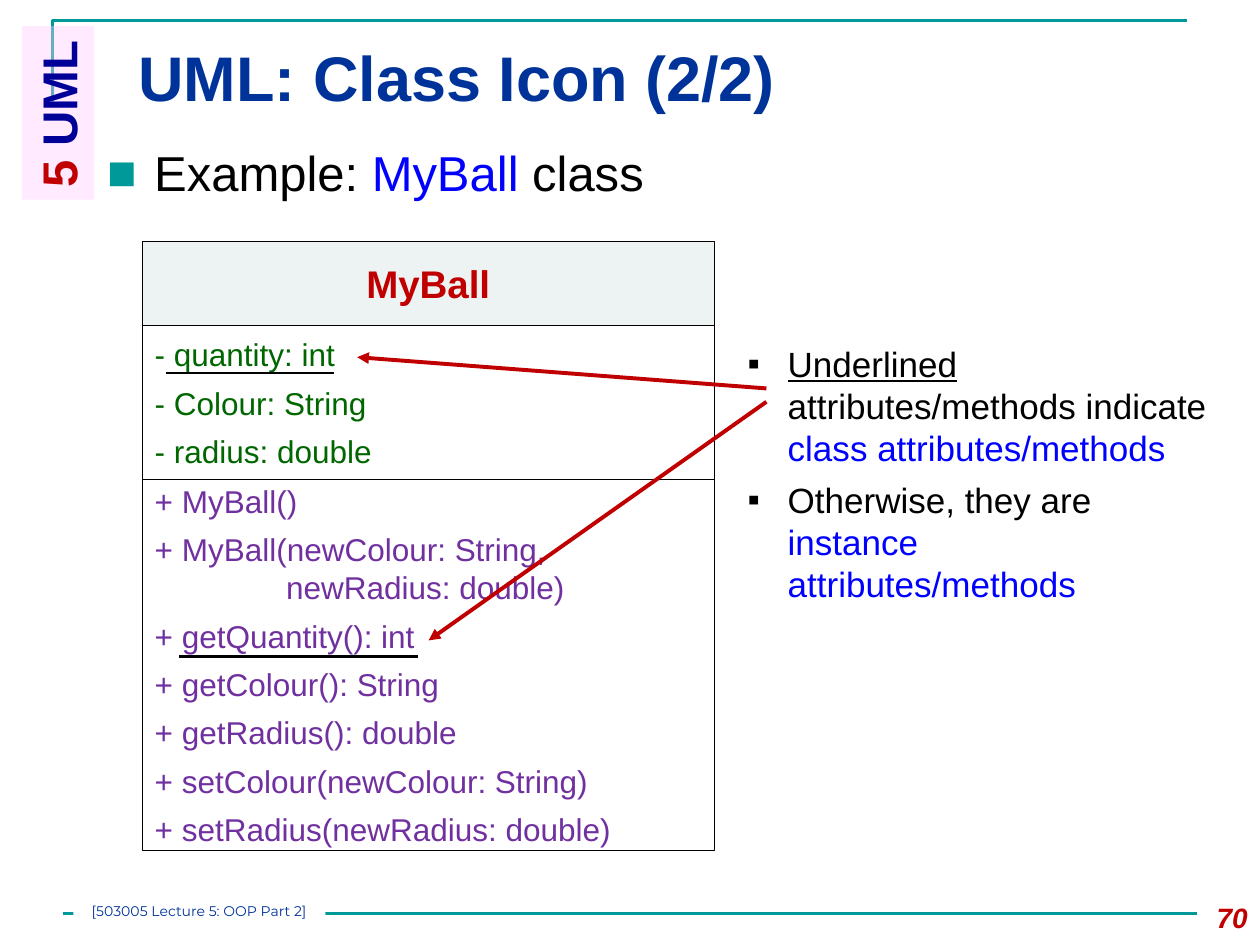
from dataclasses import dataclass

from lxml import etree
from pptx import Presentation
from pptx import util as u
from pptx.dml.color import RGBColor
from pptx.enum import shapes, text
from pptx.oxml.ns import qn

Cm = u.Cm
ALIGN = text.PP_ALIGN


@dataclass(frozen=True)
class Theme:
    font: str = "Arial"
    footer_font: str = "Montserrat"
    black: str = "000000"
    white: str = "FFFFFF"
    teal: str = "009999"
    navy: str = "003399"
    indigo: str = "000099"
    blue: str = "0000FF"
    red: str = "C00000"
    green: str = "006600"
    purple: str = "7030A0"
    pink: str = "FFCCFF"
    header: str = "EDF3F3"
    title_size: int = 36
    heading_size: int = 28
    class_size: int = 22
    note_size: int = 20
    member_size: int = 18
    page_size: int = 16
    footer_size: int = 8


def add_run(paragraph, content, *, size, color, font, bold=False, italic=False, underline=False):
    run = paragraph.add_run()
    run.text = content
    run.font.size = u.Pt(size)
    run.font.name = font
    run.font.color.rgb = RGBColor.from_string(color)
    run.font.bold = bold
    run.font.italic = italic
    run.font.underline = underline


class SlideBuilder:
    def __init__(self, slide, theme):
        self.slide = slide
        self.theme = theme

    def fill_text(self, shape, paragraphs, size, color, align=ALIGN.LEFT,
                  anchor=text.MSO_ANCHOR.TOP, margins=(0.25, 0.13), gap=0, hanging=0,
                  bullet=None, bullet_color=None, indents=None, **style):
        frame = shape.text_frame
        frame.word_wrap = True
        frame.vertical_anchor = anchor
        frame.margin_left = frame.margin_right = Cm(margins[0])
        frame.margin_top = frame.margin_bottom = Cm(margins[1])
        indents = indents or {}
        for index, runs in enumerate(paragraphs):
            paragraph = frame.paragraphs[0] if index == 0 else frame.add_paragraph()
            paragraph.alignment = align
            if index and index not in indents:
                paragraph.space_before = u.Pt(gap)
            if index in indents:
                paragraph._p.get_or_add_pPr().set("marL", str(Cm(indents[index])))
            if bullet:
                self.bullet(paragraph, bullet, bullet_color, hanging)
            for content, changes in [(runs, {})] if isinstance(runs, str) else runs:
                run_format = {"size": size, "color": color, "font": self.theme.font, **style, **changes}
                add_run(paragraph, content, **run_format)

    def bullet(self, paragraph, character, color, hanging):
        properties = paragraph._p.get_or_add_pPr()
        properties.set("marL", str(Cm(hanging)))
        properties.set("indent", str(-Cm(hanging)))
        bullet_color = etree.SubElement(properties, qn("a:buClr"))
        etree.SubElement(bullet_color, qn("a:srgbClr"), val=color)
        etree.SubElement(properties, qn("a:buFont"), typeface=self.theme.font)
        etree.SubElement(properties, qn("a:buChar"), char=character)

    def text_box(self, box, paragraphs, **style):
        shape = self.slide.shapes.add_textbox(*map(Cm, box))
        self.fill_text(shape, paragraphs, **style)

    def rectangle(self, box, paragraphs, fill, line=None, alpha=None, rotation=0, **style):
        shape = self.slide.shapes.add_shape(shapes.MSO_SHAPE.RECTANGLE, *map(Cm, box))
        shape.shadow.inherit = False
        shape.rotation = rotation
        shape.fill.solid()
        shape.fill.fore_color.rgb = RGBColor.from_string(fill)
        if alpha is not None:
            color = shape._element.spPr.find(f"{qn('a:solidFill')}/{qn('a:srgbClr')}")
            etree.SubElement(color, qn("a:alpha"), val=str(alpha * 1000))
        if line:
            shape.line.color.rgb = RGBColor.from_string(line)
            shape.line.width = u.Pt(0.75)
        else:
            shape.line.fill.background()
        self.fill_text(shape, paragraphs, **style)

    def line(self, start, end, color, width=1.5, arrow=False):
        connector = self.slide.shapes.add_connector(
            shapes.MSO_CONNECTOR.STRAIGHT, *map(Cm, (*start, *end)))
        connector.line.color.rgb = RGBColor.from_string(color)
        connector.line.width = u.Pt(width)
        if arrow:
            outline = connector._element.spPr.find(qn("a:ln"))
            etree.SubElement(outline, qn("a:tailEnd"), type="triangle")
        etree.SubElement(connector._element.spPr, qn("a:effectLst"))

    def open_path(self, points, color):
        start, *rest = [(Cm(x), Cm(y)) for x, y in points]
        builder = self.slide.shapes.build_freeform(*start)
        builder.add_line_segments(rest, close=False)
        shape = builder.convert_to_shape()
        shape.shadow.inherit = False
        shape.fill.background()
        shape.line.color.rgb = RGBColor.from_string(color)
        shape.line.width = u.Pt(1.5)


def build_frame(builder, theme):
    builder.open_path([(1.06, 2.12), (1.06, 0.42), (23.92, 0.42)], theme.teal)
    builder.line((1.27, 18.42), (24.13, 18.42), theme.teal)
    builder.text_box((2.54, 0.64, 21.59, 2.18), ["UML: Class Icon (2/2)"],
                     size=theme.title_size, color=theme.navy, bold=True)
    builder.text_box((23.7, 18.03, 1.7, 1.02), ["70"], size=theme.page_size, color=theme.red,
                     align=ALIGN.RIGHT, bold=True, italic=True)
    builder.rectangle((-0.58, 1.55, 3.5, 1.45), [[("5", {"color": theme.red}), (" UML", {})]],
                      theme.pink, alpha=40, rotation=270,
                      size=theme.heading_size, color=theme.indigo, bold=True)


def build_class_icon(builder, theme):
    attributes = ["- quantity: int", "- Colour: String", "- radius: double"]
    methods = ["+ MyBall()", "+ MyBall(newColour: String,", "newRadius: double)",
               "+ getQuantity(): int", "+ getColour(): String", "+ getRadius(): double",
               "+ setColour(newColour: String)", "+ setRadius(newRadius: double)"]
    compartments = [
        (1.69, ["MyBall"], theme.header,
         dict(size=theme.class_size, color=theme.red, bold=True, align=ALIGN.CENTER)),
        (3.11, attributes, theme.white, dict(size=theme.member_size, color=theme.green)),
        (7.47, methods, theme.white,
         dict(size=theme.member_size, color=theme.purple, indents={2: 2.65})),
    ]
    top = 4.87
    for height, lines, fill, style in compartments:
        builder.rectangle((2.87, top, 11.53, height), lines, fill, line=theme.black,
                          anchor=text.MSO_ANCHOR.MIDDLE, gap=6, **style)
        top += height
    for left, right, y in [(3.35, 6.73, 7.52), (3.61, 8.43, 13.23)]:
        builder.line((left, y), (right, y), theme.black)


def build_notes(builder, theme):
    blue = {"color": theme.blue}
    builder.text_box((14.82, 6.77, 9.95, 4.75), [
        [("Underlined", {"underline": True}), (" attributes/methods indicate ", {}),
         ("class attributes/methods", blue)],
        [("Otherwise, they are ", {}), ("instance attributes/methods", blue)],
    ], size=theme.note_size, color=theme.black, gap=6, hanging=0.81,
        bullet="▪", bullet_color=theme.black)
    for start, end in [((15.45, 7.83), (7.2, 7.2)), ((15.45, 8.1), (8.64, 12.91))]:
        builder.line(start, end, theme.red, width=2.25, arrow=True)


def main():
    theme = Theme()
    presentation = Presentation()
    presentation.slide_width, presentation.slide_height = Cm(25.4), Cm(19.05)
    slide = presentation.slides.add_slide(presentation.slide_layouts[6])
    builder = SlideBuilder(slide, theme)
    build_frame(builder, theme)
    builder.text_box((1.91, 2.75, 14.81, 1.8),
                     [[("Example: ", {}), ("MyBall", {"color": theme.blue}), (" class", {})]],
                     size=theme.heading_size, color=theme.black, hanging=0.95,
                     bullet="■", bullet_color=theme.teal)
    build_class_icon(builder, theme)
    build_notes(builder, theme)
    builder.rectangle((1.48, 18.2, 5.08, 0.42), ["[503005 Lecture 5: OOP Part 2]"], theme.white,
                      size=theme.footer_size, color=theme.navy, font=theme.footer_font,
                      align=ALIGN.CENTER, margins=(0, 0))
    presentation.save("out.pptx")


if __name__ == "__main__":
    main()
